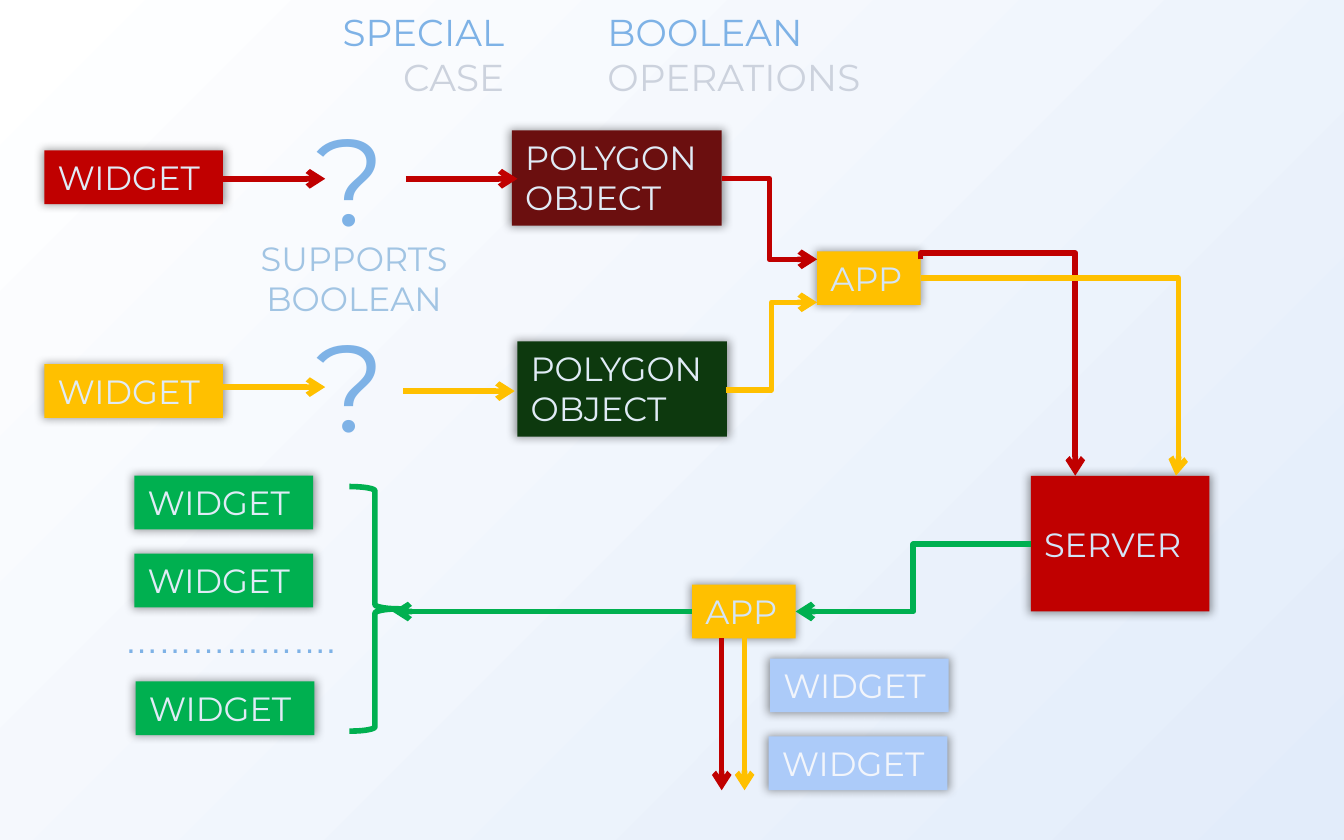
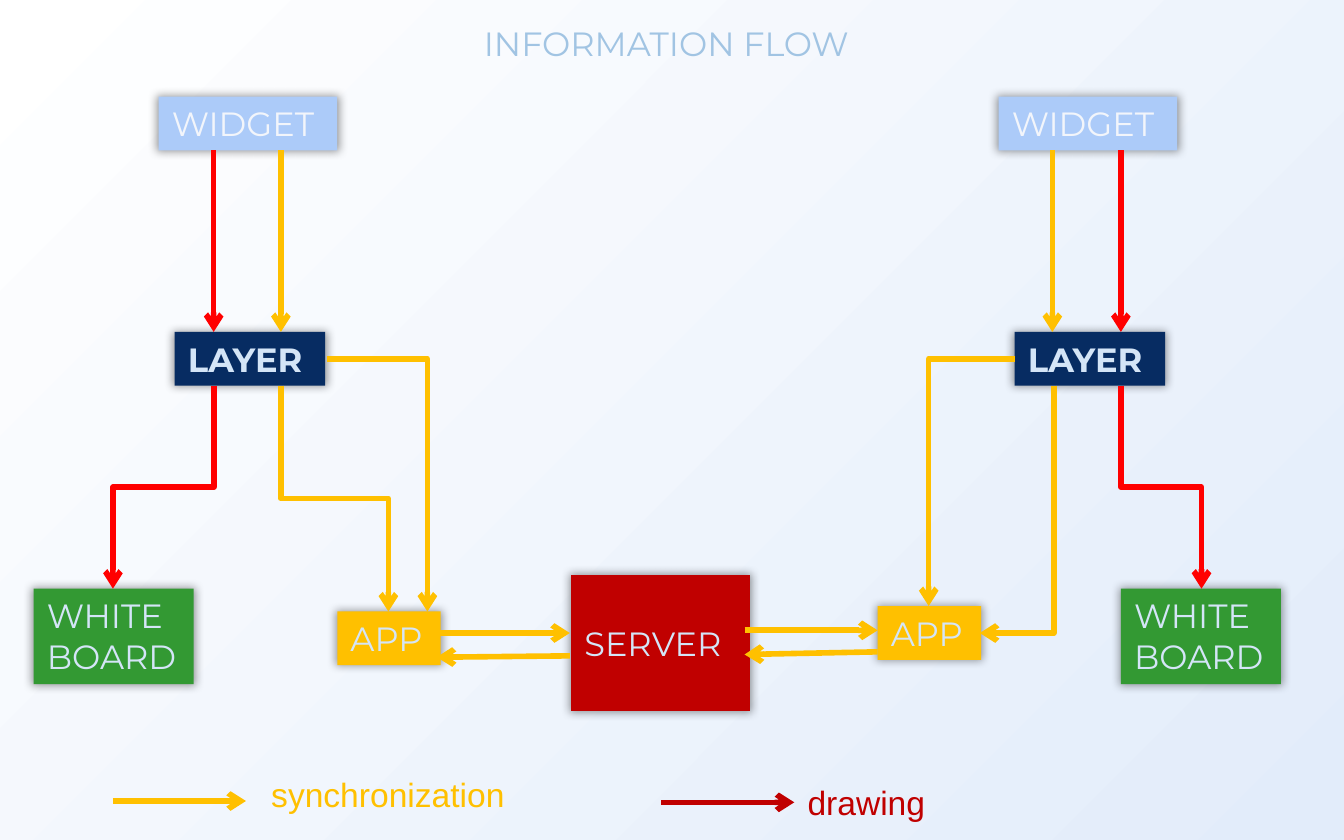
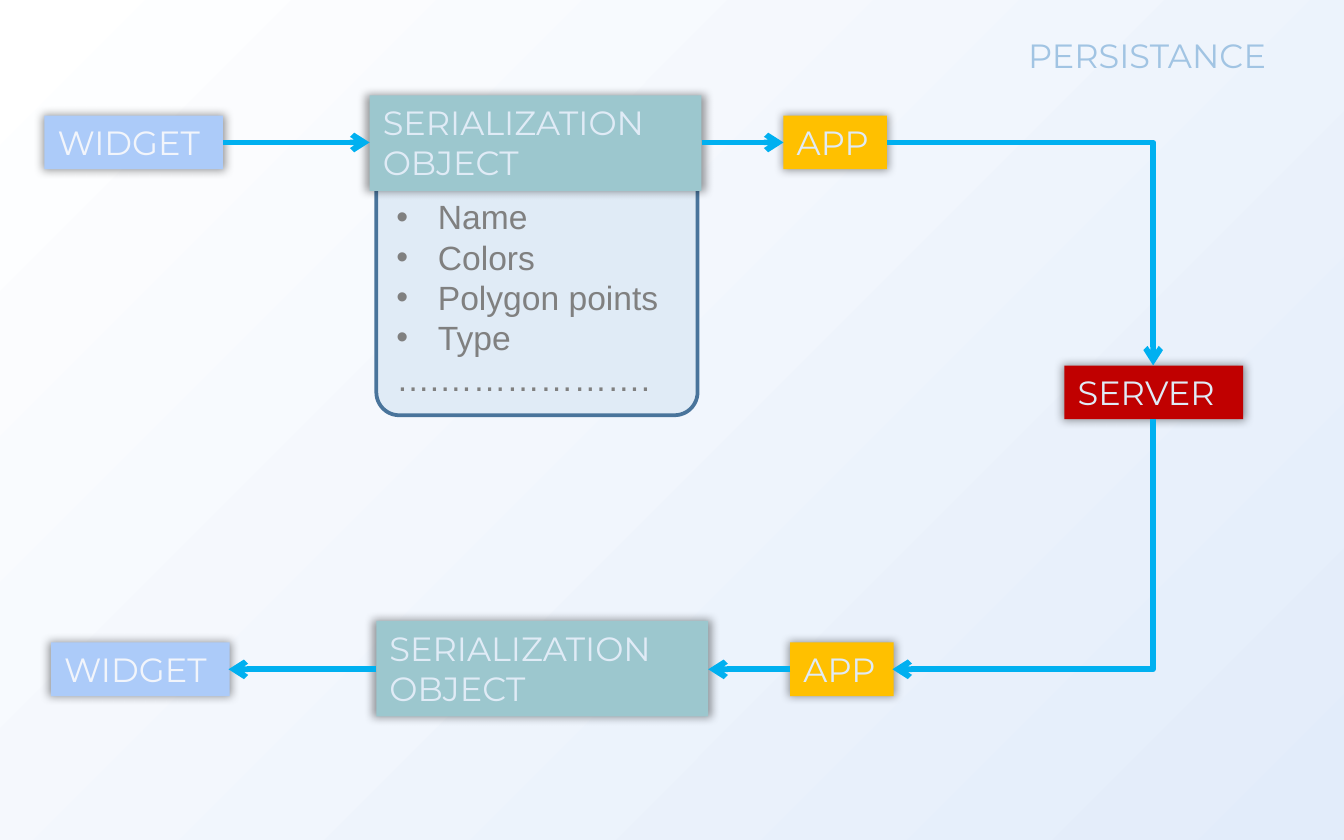
from pptx import Presentation
from pptx import util as u
from pptx.dml.color import RGBColor
from pptx.enum import shapes, text
from pptx.oxml.ns import qn
from lxml import etree

# Shared look
WIDTH, HEIGHT = 10, 6.25
RED, BRIGHT, AMBER, GREEN, CYAN = "C00000", "FF0000", "FFC000", "00B050", "00B0F0"
SKY, GREY, CAPTION, PALE, ICE = "7EB2E6", "CCD2DD", "A1C4E3", "E0EBF6", "D4E5F7"
LIGHT_BLUE, TEAL, FROST = "ACCBF9", "9CC7CE", "F2F5FB"
HEAD, BODY = "Montserrat", "Arial"
LEFT, CENTER, RIGHT = (text.PP_ALIGN.LEFT, text.PP_ALIGN.CENTER, text.PP_ALIGN.RIGHT)
TOP, MIDDLE = text.MSO_ANCHOR.TOP, text.MSO_ANCHOR.MIDDLE
PLACE = ("left", "top", "width", "height")
PITCH = 6.25  # distance between the two clients on the flow slide

# Box kinds: lines, width, height, fill, text colour
KINDS = {
    "widget": (["WIDGET"], 1.33, 0.4, LIGHT_BLUE, FROST),
    "red widget": (["WIDGET"], 1.33, 0.4, RED, PALE),
    "amber widget": (["WIDGET"], 1.33, 0.4, AMBER, PALE),
    "green widget": (["WIDGET"], 1.33, 0.4, GREEN, PALE),
    "red polygon": (["POLYGON", "OBJECT"], 1.56, 0.71, "6B0F0F", PALE),
    "green polygon": (["POLYGON", "OBJECT"], 1.56, 0.71, "0D390E", PALE),
    "app": (["APP"], 0.77, 0.4, AMBER, ICE),
    "pale app": (["APP"], 0.77, 0.4, AMBER, PALE),
    "server": (["SERVER"], 1.33, 1.01, RED, ICE),
    "server bar": (["SERVER"], 1.33, 0.4, RED, PALE),
    "layer": (["LAYER"], 1.12, 0.4, "072C62", ICE),
    "board": (["WHITE", "BOARD"], 1.19, 0.71, "339933", ICE),
    "serial": (["SERIALIZATION", "OBJECT"], 2.47, 0.71, TEAL, PALE),
}

# Elbow routes: H or V is the first direction, 1 or 2 the number of bends
BOOLEAN = {
    "title": ((4.42, 0.02, 2.24, 0.77), [("BOOLEAN", SKY), ("OPERATIONS", GREY)], {"size": 20}),
    "boxes": [
        ("red widget", 0.33, 1.12), ("amber widget", 0.33, 2.71),
        ("red polygon", 3.81, 0.97), ("green polygon", 3.85, 2.54),
        ("app", 6.08, 1.87), ("server", 7.67, 3.54), ("app", 5.15, 4.35),
        ("green widget", 1, 3.54), ("green widget", 1, 4.12), ("green widget", 1.01, 5.07),
        ("widget", 5.73, 4.9), ("widget", 5.72, 5.48),
    ],
    "arrows": [
        (RED, (1.66, 1.33), (2.42, 1.33)), (AMBER, (1.66, 2.88), (2.42, 2.88)),
        (RED, (3.02, 1.33), (3.85, 1.33)), (AMBER, (3, 2.91), (3.83, 2.91)),
        (RED, (5.37, 1.33), (6.08, 1.93), "H2"), (AMBER, (5.4, 2.9), (6.08, 2.25), "H2"),
        (RED, (6.85, 1.93), (8, 3.54), "V2", -0.03),
        (AMBER, (6.85, 2.07), (8.75, 3.54), "H2", 1.01),
        (GREEN, (7.67, 4.05), (5.92, 4.55), "H2"), (GREEN, (5.15, 4.55), (2.92, 4.55)),
        (RED, (5.37, 4.75), (5.37, 5.88)), (AMBER, (5.54, 4.75), (5.54, 5.88)),
    ],
    "labels": [
        ((2.31, 0.02, 1.54, 0.77), [("SPECIAL", SKY), ("CASE", GREY)], {"size": 20, "align": RIGHT}),
        ((2.25, 0.72, 0.77, 1.21), ["?"], {"size": 66, "color": SKY}),
        ((2.25, 2.25, 0.77, 1.21), ["?"], {"size": 66, "color": SKY}),
        ((0.83, 4.56, 1.79, 0.4), ["………………."], {"font": BODY, "color": SKY}),
        ((1.77, 1.72, 1.73, 0.71), ["SUPPORTS", "BOOLEAN"], {"align": CENTER}),
    ],
}
FLOW = {
    "title": ((3.5, 0.12, 3.08, 0.4), ["INFORMATION FLOW"], {}),
    "boxes": [(kind, x + shift, y) for shift in (0, PITCH)
              for kind, x, y in (("widget", 1.18, 0.72), ("layer", 1.3, 2.47))] + [
        ("board", 0.25, 4.38), ("board", 8.34, 4.38),
        ("app", 2.51, 4.55), ("app", 6.53, 4.51), ("server", 4.25, 4.28),
    ],
    "arrows": [(color, (x, 1.12), (x, 2.47)) for color, x in
               ((BRIGHT, 1.59), (AMBER, 2.09), (AMBER, 7.83), (BRIGHT, 8.34))] + [
        (BRIGHT, (1.59, 2.87), (0.84, 4.38), "V2"), (BRIGHT, (8.34, 2.87), (8.94, 4.38), "V2"),
        (AMBER, (2.09, 2.87), (2.89, 4.55), "V2"), (AMBER, (2.43, 2.67), (3.18, 4.55), "H1"),
        (AMBER, (7.55, 2.67), (6.91, 4.51), "H1"), (AMBER, (7.84, 2.87), (7.29, 4.71), "V1"),
        (AMBER, (3.25, 4.71), (4.24, 4.71)), (AMBER, (4.24, 4.88), (3.25, 4.89)),
        (AMBER, (5.54, 4.69), (6.53, 4.69)), (AMBER, (6.53, 4.85), (5.54, 4.87)),
        (AMBER, (0.84, 5.96), (1.83, 5.96)), (RED, (4.92, 5.97), (5.91, 5.97)),
    ],
    "labels": [
        ((1.92, 5.71, 1.96, 0.4), ["synchronization"], {"font": BODY, "color": AMBER}),
        ((5.91, 5.77, 1.09, 0.4), ["drawing"], {"font": BODY, "color": RED}),
    ],
}
PERSISTENCE = {
    "title": ((7.55, 0.21, 2.18, 0.4), ["PERSISTANCE"], {}),
    "boxes": [
        ("widget", 0.33, 0.86), ("serial", 2.75, 0.71), ("pale app", 5.83, 0.86),
        ("server bar", 7.92, 2.72),
        ("widget", 0.38, 4.78), ("serial", 2.8, 4.62), ("pale app", 5.88, 4.78),
    ],
    "arrows": [
        (CYAN, (1.66, 1.06), (2.75, 1.06)), (CYAN, (5.22, 1.06), (5.83, 1.06)),
        (CYAN, (6.6, 1.06), (8.58, 2.72), "H1"), (CYAN, (8.58, 3.12), (6.64, 4.98), "V1"),
        (CYAN, (5.88, 4.98), (5.27, 4.98)), (CYAN, (2.8, 4.98), (1.7, 4.98)),
    ],
    "labels": [],
}
FIELDS = ["Name", "Colors", "Polygon points", "Type"]
FIELDS_END = "….………………."


def rgb(value):
    return RGBColor.from_string(value)


def inches(values):
    return [u.Inches(v) for v in values]


def place(sp, values):
    for name, value in zip(PLACE, values):
        setattr(sp, name, value)


def add_xml(parent, tag, **attrs):
    return etree.SubElement(parent, qn(tag), {k: str(v) for k, v in attrs.items()})


def write(sp, lines, size=18, font=HEAD, color=CAPTION, align=LEFT, anchor=TOP, bold=False):
    """Fill a shape with one paragraph per line; a line may carry its own colour."""
    tf = sp.text_frame
    frame = {"word_wrap": True, "auto_size": text.MSO_AUTO_SIZE.NONE, "vertical_anchor": anchor}
    for name, value in frame.items():
        setattr(tf, name, value)
    for i, line in enumerate(lines):
        words, shade = line if isinstance(line, tuple) else (line, color)
        p = tf.add_paragraph() if i else tf.paragraphs[0]
        p.alignment = align
        r = p.add_run()
        r.text = words
        for name, value in {"size": u.Pt(size), "name": font, "bold": bold}.items():
            setattr(r.font, name, value)
        r.font.color.rgb = rgb(shade)
    return tf


def add_shape(s, preset, at, fill=None, line=None, width=3):
    sp = s.shapes.add_shape(preset, *inches(at))
    sp.shadow.inherit = False
    if fill:
        sp.fill.solid()
        sp.fill.fore_color.rgb = rgb(fill)
    else:
        sp.fill.background()
    if line:
        sp.line.color.rgb = rgb(line)
        sp.line.width = u.Pt(width)
    else:
        sp.line.fill.background()
    return sp


def add_box(s, kind, x, y):
    lines, w, h, fill, color = KINDS[kind]
    sp = add_shape(s, shapes.MSO_SHAPE.RECTANGLE, (x, y, w, h), fill)
    write(sp, lines, color=color, bold=kind == "layer",
          anchor=MIDDLE if kind == "server" else TOP)
    # Soft shadow, slightly larger than the box on every side
    effects = sp._element.spPr.find(qn("a:effectLst"))
    shadow = add_xml(effects, "a:outerShdw", blurRad=u.Pt(5), dist=0, sx=102000, sy=102000,
                     algn="ctr", rotWithShape=0)
    add_xml(add_xml(shadow, "a:srgbClr", val="000000"), "a:alpha", val=40000)


def add_arrow(s, color, start, end, route=None, bend=None):
    (x1, y1), (x2, y2) = start, end
    if route:
        dx, dy = x2 - x1, y2 - y1
        w, h = abs(dx), abs(dy)
        # An elbow that sets out downwards is a sideways one, turned about its centre
        if route[0] == "V":
            w, h = h, w
            turn, flip = (270, "flipH") if dx > 0 else (90, None)
        else:
            turn = 0 if dx > 0 else 180
            flip = "flipV" if (dx > 0) != (dy > 0) else None
        x, y = (x1 + x2 - w) / 2, (y1 + y2 - h) / 2
        sp = s.shapes.add_connector(shapes.MSO_CONNECTOR.ELBOW, *inches((x, y, x + w, y + h)))
        xfrm, geom = (sp._element.spPr.find(qn(t)) for t in ("a:xfrm", "a:prstGeom"))
        xfrm.set("rot", str(turn * 60000))
        if flip:
            xfrm.set(flip, "1")
        geom.set("prst", f"bentConnector{int(route[1]) + 1}")
        if bend is not None:
            guides = geom.find(qn("a:avLst"))
            if guides is None:
                guides = add_xml(geom, "a:avLst")
            add_xml(guides, "a:gd", name="adj1", fmla=f"val {round(bend * 100000)}")
    else:
        sp = s.shapes.add_connector(shapes.MSO_CONNECTOR.STRAIGHT, *inches((x1, y1, x2, y2)))
    sp.line.color.rgb = rgb(color)
    sp.line.width = u.Pt(3)
    spPr = sp._element.spPr
    add_xml(spPr.find(qn("a:ln")), "a:tailEnd", type="arrow")
    add_xml(spPr, "a:effectLst")


def add_fields_panel(s):
    sp = add_shape(s, shapes.MSO_SHAPE.ROUND_2_SAME_RECTANGLE, (2.8, 1.38, 2.39, 1.71),
                   PALE, "49749B", 2)
    sp.adjustments[0], sp.adjustments[1] = 0, 0.1
    tf = write(sp, FIELDS + [FIELDS_END], font=BODY, color="808080", anchor=MIDDLE)
    for p in tf.paragraphs[:len(FIELDS)]:
        pPr = p._p.get_or_add_pPr()
        pPr.set("marL", str(u.Inches(0.31)))
        pPr.set("indent", str(-u.Inches(0.31)))
        add_xml(pPr, "a:buFont", typeface=BODY)
        add_xml(pPr, "a:buChar", char="•")


def add_slide(prs, content):
    s = prs.slides.add_slide(prs.slide_layouts[5])
    at, lines, fmt = content["title"]
    place(s.shapes.title, inches(at))
    write(s.shapes.title, lines, **fmt)
    if content is PERSISTENCE:
        add_fields_panel(s)
    for box in content["boxes"]:
        add_box(s, *box)
    for arrow in content["arrows"]:
        add_arrow(s, *arrow)
    for at, lines, fmt in content["labels"]:
        write(s.shapes.add_textbox(*inches(at)), lines, **fmt)
    if content is BOOLEAN:
        add_shape(s, shapes.MSO_SHAPE.RIGHT_BRACE, (2.6, 3.62, 0.38, 1.82), line=GREEN)


def fit_template(prs):
    """Set the slide size and scale the template's placeholders to it."""
    ratio = u.Inches(HEIGHT) / prs.slide_height
    prs.slide_width, prs.slide_height = inches((WIDTH, HEIGHT))
    # Layouts come first, as they inherit places from the master
    for page in (*prs.slide_layouts, prs.slide_master):
        for sp in page.placeholders:
            left, top, width, height = (getattr(sp, name) for name in PLACE)
            place(sp, (left, int(top * ratio), width, int(height * ratio)))


def main():
    prs = Presentation()
    fit_template(prs)
    # Diagonal background on the master
    fill = prs.slide_master.background.fill
    fill.gradient()
    fill.gradient_angle = 315
    for stop, color in zip(fill.gradient_stops, ("FFFFFF", "E2ECFA")):
        stop.color.rgb = rgb(color)
    for content in (BOOLEAN, FLOW, PERSISTENCE):
        add_slide(prs, content)
    prs.save("out.pptx")


if __name__ == "__main__":
    main()
